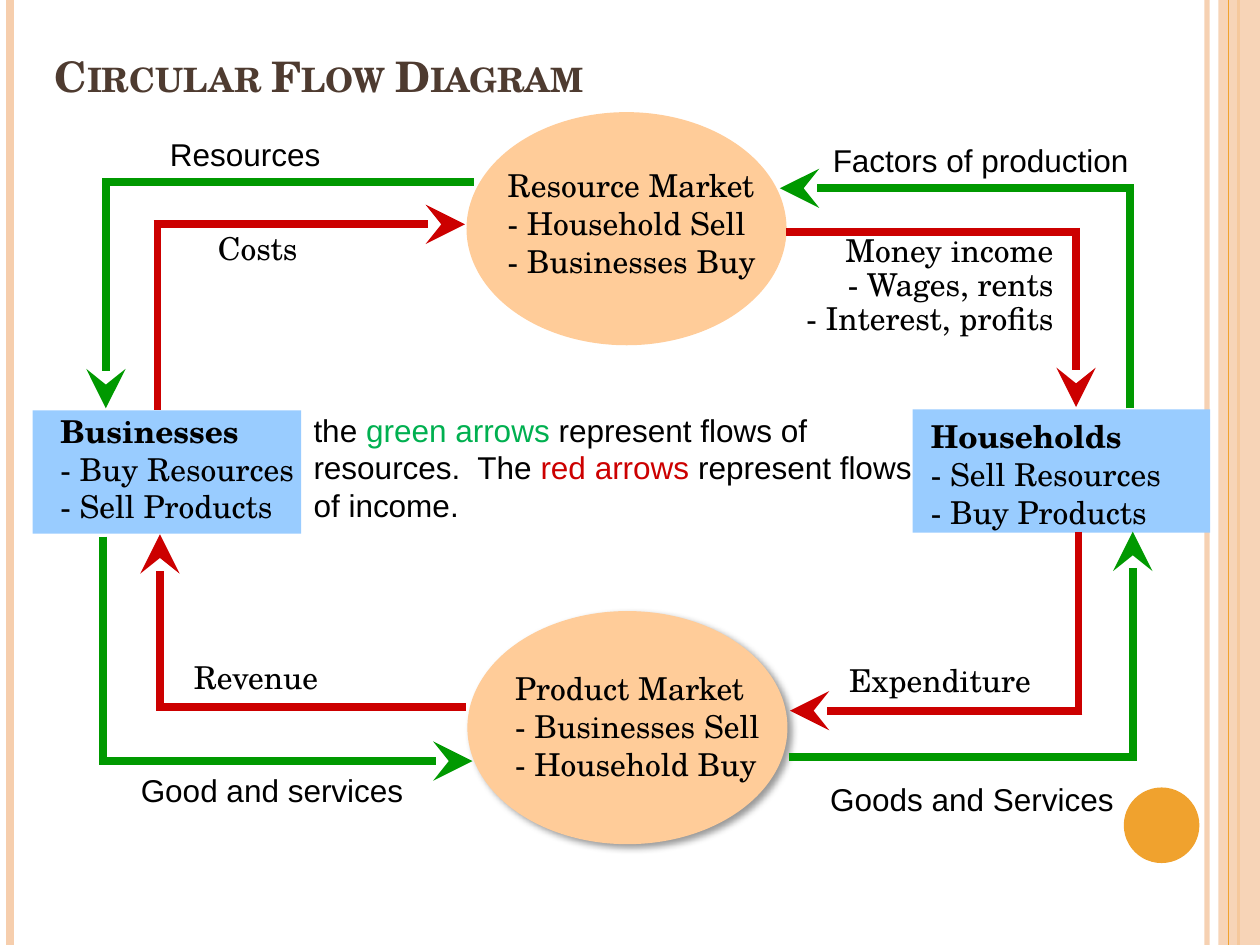
from lxml.etree import SubElement
from pptx import Presentation
from pptx.dml.color import RGBColor
from pptx.enum.shapes import MSO_CONNECTOR as CONN, MSO_SHAPE as SHAPE
from pptx.enum.text import MSO_ANCHOR as ANCHOR, PP_ALIGN as ALIGN
from pptx.oxml.ns import qn
from pptx.util import Pt

COLORS = {"peach": "F6CEAD", "orange": "F0A22E", "title": "4E3B30",
          "market": "FFCC99", "sector": "99CCFF", "black": "000000",
          "green": "009900", "red": "CC0000", "green text": "00B050"}
SERIF, SANS = "TeX Gyre Schola", "Arial"
W, H = 720, 540
FLOW_WIDTH = 4.5

# Frame lines: x, colour, width, opacity in percent
FRAME_BACK = [(689.8, "peach", 3, 93), (5.8, "peach", 4.5, 100),
              (707.8, "orange", 1.5, 100)]
FRAME_FRONT = [(702, "orange", 0.75, 100)]

# Nodes: shape, shape box, fill, text box, lines, bold heading, shadow
NODES = [
    (SHAPE.OVAL, (267.1, 349.2, 182.9, 133.2), "market", (287.3, 378.7, 190.8, 72.7),
     ["Product Market", "- Businesses Sell", "- Household Buy"], False, True),
    (SHAPE.RECTANGLE, (521.5, 234, 170, 70.4), "sector", (524.9, 234.7, 163.4, 72.7),
     ["Households", "- Sell Resources", "- Buy Products"], True, False),
    (SHAPE.RECTANGLE, (18.7, 234.5, 153.4, 70.4), "sector", (27.4, 231.8, 167.8, 72.7),
     ["Businesses", "- Buy Resources", "- Sell Products"], True, False),
    (SHAPE.OVAL, (266.6, 64.1, 182.9, 133.2), "market", (283, 91.4, 171.4, 72.7),
     ["Resource Market", "- Household Sell", "- Businesses Buy"], False, False),
]

# Flows: colour, start, corner, arrow end
FLOWS = [
    ("green", (450.7, 432.7), (647.3, 432.7), (647.3, 303.8)),
    ("green", (59, 306.7), (59, 434.9), (270, 434.9)),
    ("red", (266.4, 403.9), (91.4, 403.9), (91.4, 305.3)),
    ("red", (616.3, 303.8), (616.3, 406.1), (451.4, 406.1)),
    ("green", (645.8, 233.3), (645.8, 107.6), (445.7, 107.6)),
    ("red", (449.3, 132.5), (614.9, 132.5), (614.9, 232.6)),
    ("red", (90, 234), (90, 128.2), (265.7, 128.2)),
    ("green", (270.7, 104.2), (60.5, 104.2), (60.5, 233.3)),
]

# Labels: box, lines, font, alignment, line spacing
LABELS = [
    ((467.3, 442, 196.5, 28), ["Goods and Services"], SANS, ALIGN.LEFT, 1),
    ((73.4, 438.5, 175.7, 28), ["Good and services"], SANS, ALIGN.LEFT, 0.95),
    ((103.7, 375.1, 157.7, 26.6), ["Revenue"], SERIF, ALIGN.LEFT, 0.9),
    ((438.5, 376.6, 157.7, 26.6), ["Expenditure"], SERIF, ALIGN.RIGHT, 0.9),
    ((468.8, 77.2, 190.7, 28), ["Factors of production"], SANS, ALIGN.LEFT, 1),
    ((426.2, 131, 182.9, 66.2), ["Money income", "- Wages, rents", "- Interest, profits"],
     SERIF, ALIGN.RIGHT, 0.9),
    ((117.4, 129.6, 103, 26.6), ["Costs"], SERIF, ALIGN.LEFT, 0.9),
    ((90, 73.5, 227.5, 28.8), ["Resources"], SANS, ALIGN.LEFT, 1),
]

NOTE = [("the ", "black"), ("green arrows ", "green text"),
        ("represent flows of resources.  The ", "black"), ("red arrows ", "red"),
        ("represent flows of income.", "black")]

prs = Presentation()
prs.slide_width, prs.slide_height = Pt(W), Pt(H)
s = prs.slides.add_slide(prs.slide_layouts[6])


def rgb(name):
    return RGBColor.from_string(COLORS[name])


def set_opacity(sp, percent):
    clr = next(sp._element.spPr.iter(qn("a:srgbClr")))
    SubElement(clr, qn("a:alpha"), val=str(percent * 1000))


def add_line(start, end, color, width, arrow=False, opacity=100):
    sp = s.shapes.add_connector(CONN.STRAIGHT, *map(Pt, start + end))
    sp.line.color.rgb, sp.line.width = rgb(color), Pt(width)
    if opacity < 100:
        set_opacity(sp, opacity)
    if arrow:
        SubElement(sp.line._get_or_add_ln(), qn("a:tailEnd"),
                   type="stealth", w="lg", len="lg")
    SubElement(sp._element.spPr, qn("a:effectLst"))


def add_frame(lines):
    for x, color, width, opacity in lines:
        add_line((x, 0), (x, H), color, width, opacity=opacity)


def add_shape(kind, box, color):
    sp = s.shapes.add_shape(kind, *map(Pt, box))
    sp.shadow.inherit = False
    sp.fill.solid()
    sp.fill.fore_color.rgb = rgb(color)
    sp.line.fill.background()
    return sp


def add_text(box, lines, font=SERIF, size=18, color="black", align=ALIGN.LEFT,
             spacing=None, bold_first=False):
    tf = s.shapes.add_textbox(*map(Pt, box)).text_frame
    tf.word_wrap = True
    for i, line in enumerate(lines):
        p = tf.paragraphs[0] if i == 0 else tf.add_paragraph()
        p.text, p.alignment, p.line_spacing = line, align, spacing
        p.font.name, p.font.size, p.font.color.rgb = font, Pt(size), rgb(color)
        p.font.bold = bold_first and i == 0
    return tf


# Page frame
add_frame(FRAME_BACK)
set_opacity(add_shape(SHAPE.RECTANGLE, (696.2, 0, 23.8, H), "peach"), 87)
add_frame(FRAME_FRONT)
add_shape(SHAPE.OVAL, (642.2, 450, 43.2, 43.2), "orange")

# Title in small capitals
tf = add_text((24, 13, 648, 48.2), ["Circular Flow Diagram"], size=24,
              color="title", bold_first=True)
tf.vertical_anchor = ANCHOR.BOTTOM
tf.paragraphs[0].runs[0].font._element.set("cap", "small")

# Markets and sectors
for kind, box, color, text_box, lines, bold, shadow in NODES:
    sp = add_shape(kind, box, color)
    if shadow:
        effects = sp._element.spPr.find(qn("a:effectLst"))
        outer = SubElement(effects, qn("a:outerShdw"), blurRad=str(Pt(4)),
                           dist=str(Pt(3)), dir="2700000", algn="tl", rotWithShape="0")
        clr = SubElement(outer, qn("a:srgbClr"), val=COLORS["black"])
        SubElement(clr, qn("a:alpha"), val="40000")
    add_text(text_box, lines, bold_first=bold)

# Flows: the arrow leg starts half a line width early to square the corner
for color, start, corner, end in FLOWS:
    add_line(start, corner, color, FLOW_WIDTH)
    length = sum(abs(e - c) for c, e in zip(corner, end))
    back = FLOW_WIDTH / 2 / length
    leg_start = tuple(c - (e - c) * back for c, e in zip(corner, end))
    add_line(leg_start, end, color, FLOW_WIDTH, arrow=True)

# Flow labels
for box, lines, font, align, spacing in LABELS:
    add_text(box, lines, font, align=align, spacing=spacing)

# Note on the arrow colours
p = add_text((172.1, 231.1, 360, 72.7), [""], SANS).paragraphs[0]
for text, color in NOTE:
    r = p.add_run()
    r.text, r.font.color.rgb = text, rgb(color)

prs.save("out.pptx")
